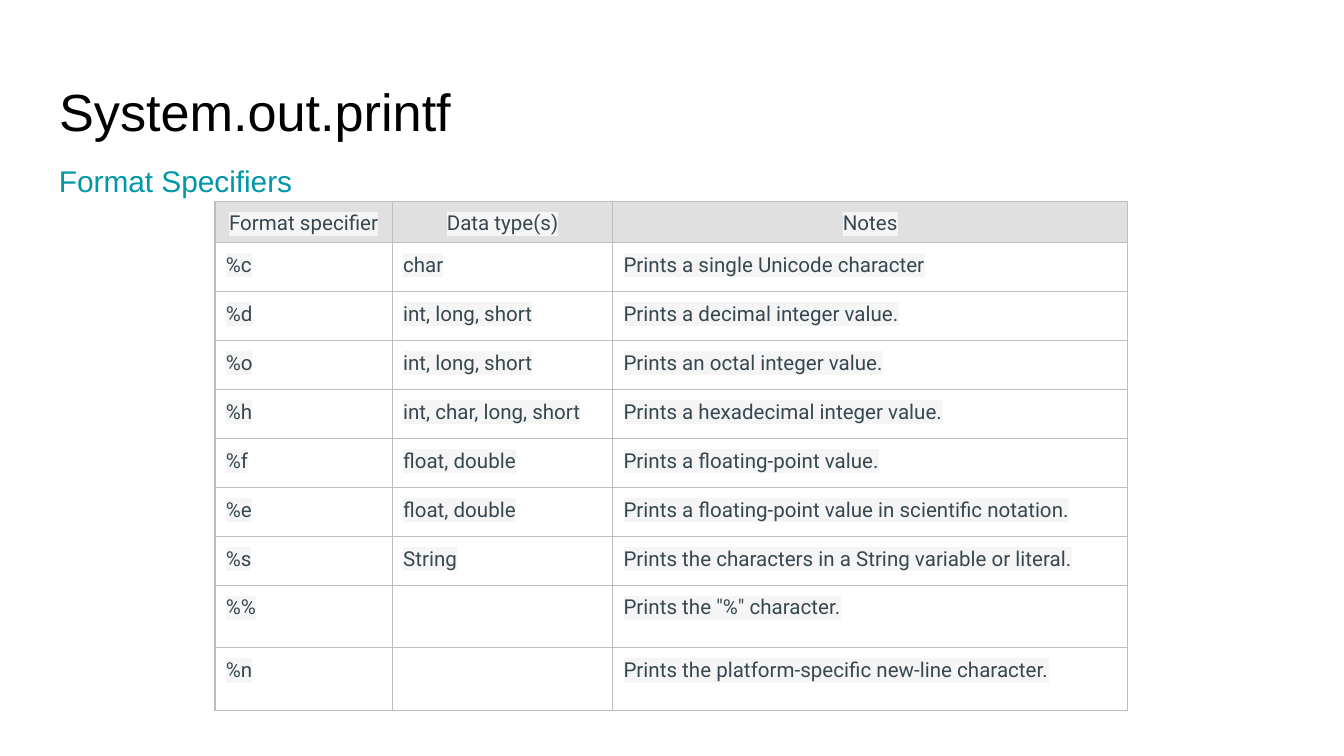
"""Build a slide listing the format specifiers of System.out.printf."""
import dataclasses

import lxml.etree
import pptx
import pptx.dml.color
import pptx.enum.text
import pptx.oxml.ns
import pptx.util

Inches = pptx.util.Inches
Pt = pptx.util.Pt
qn = pptx.oxml.ns.qn
PP_ALIGN = pptx.enum.text.PP_ALIGN
MSO_ANCHOR = pptx.enum.text.MSO_ANCHOR


@dataclasses.dataclass(frozen=True)
class Theme:
    heading_font: str = "Arial"
    table_font: str = "Roboto"
    title_size: int = 28
    subtitle_size: int = 16
    table_size: int = 11
    border_width: float = 0.75
    title: str = "000000"
    subtitle: str = "0097A7"
    table_text: str = "37474F"
    highlight: str = "F5F5F5"
    header_fill: str = "E0E0E0"
    body_fill: str = "F5F5F5"
    border: str = "BDBDBD"


THEME = Theme()
HEADER = ("Format specifier", "Data type(s)", "Notes")
SPECIFIERS = (
    ("%c", "char", "Prints a single Unicode character"),
    ("%d", "int, long, short", "Prints a decimal integer value."),
    ("%o", "int, long, short", "Prints an octal integer value."),
    ("%h", "int, char, long, short", "Prints a hexadecimal integer value."),
    ("%f", "float, double", "Prints a floating-point value."),
    ("%e", "float, double", "Prints a floating-point value in scientific notation."),
    ("%s", "String", "Prints the characters in a String variable or literal."),
    ("%%", "", 'Prints the "%" character.'),
    ("%n", "", "Prints the platform-specific new-line character."),
)
COLUMN_WIDTHS = (1.32, 1.64, 3.83)
ROW_HEIGHTS = (0.3,) + (2.55 / 7,) * 7 + (0.45,) * 2


def add_run(p, text, font, size, color):
    r = p.add_run()
    r.text = text
    r.font.name = font
    r.font.size = Pt(size)
    r.font.color.rgb = pptx.dml.color.RGBColor.from_string(color)
    return r


def add_color(parent, tag, color):
    holder = lxml.etree.SubElement(parent, qn(tag))
    lxml.etree.SubElement(holder, qn("a:srgbClr"), val=color)
    return holder


def highlight_run(r, color):
    rPr = r.font._element
    rPr.find(qn("a:solidFill")).addnext(add_color(rPr, "a:highlight", color))


def fill_background(cell, color, transparent):
    cell.fill.solid()
    cell.fill.fore_color.rgb = pptx.dml.color.RGBColor.from_string(color)
    if transparent:
        srgb = cell._tc.tcPr.find(qn("a:solidFill")).find(qn("a:srgbClr"))
        lxml.etree.SubElement(srgb, qn("a:alpha"), val="0")


def set_borders(cell):
    tcPr = cell._tc.get_or_add_tcPr()
    for i, side in enumerate(("a:lnL", "a:lnR", "a:lnT", "a:lnB")):
        ln = lxml.etree.Element(qn(side), w=str(Pt(THEME.border_width)))
        add_color(ln, "a:solidFill", THEME.border)
        tcPr.insert(i, ln)


def fill_heading(sp, top, height, text, size, color):
    sp.left, sp.top = Inches(0.34), Inches(top)
    sp.width, sp.height = Inches(9.32), Inches(height)
    tf = sp.text_frame
    tf.word_wrap = True
    tf.vertical_anchor = MSO_ANCHOR.TOP
    tf.margin_left = tf.margin_right = tf.margin_top = tf.margin_bottom = Inches(0.1)
    p = tf.paragraphs[0]
    p.alignment = PP_ALIGN.LEFT
    add_run(p, text, THEME.heading_font, size, color)


def fill_cell(cell, text, is_header):
    margin = Inches(0.05 if is_header else 0.08)
    cell.margin_left = cell.margin_right = margin
    cell.margin_top = cell.margin_bottom = margin
    p = cell.text_frame.paragraphs[0]
    if is_header:
        p.alignment = PP_ALIGN.CENTER
        p.line_spacing = 1.15
    fill_background(cell, THEME.header_fill if is_header else THEME.body_fill,
                    transparent=not is_header)
    set_borders(cell)
    if text:
        r = add_run(p, text, THEME.table_font, THEME.table_size, THEME.table_text)
        highlight_run(r, THEME.highlight)


def add_specifier_table(s):
    rows = (HEADER,) + SPECIFIERS
    frame = s.shapes.add_table(
        len(rows), len(HEADER), Inches(1.6), Inches(1.5),
        Inches(sum(COLUMN_WIDTHS)), Inches(sum(ROW_HEIGHTS)))
    table = frame.table
    table.horz_banding = False
    table.first_row = False
    for column, width in zip(table.columns, COLUMN_WIDTHS):
        column.width = Inches(width)
    for i, (row, height, texts) in enumerate(zip(table.rows, ROW_HEIGHTS, rows)):
        row.height = Inches(height)
        for cell, text in zip(row.cells, texts):
            fill_cell(cell, text, is_header=i == 0)


def main():
    prs = pptx.Presentation()
    prs.slide_width = Inches(10)
    prs.slide_height = prs.slide_width * 9 // 16
    s = prs.slides.add_slide(prs.slide_layouts[5])
    fill_heading(s.shapes.title, 0.49, 0.63, "System.out.printf",
                 THEME.title_size, THEME.title)
    add_specifier_table(s)
    subtitle = s.shapes.add_textbox(0, 0, 0, 0)
    fill_heading(subtitle, 1.11, 0.39, "Format Specifiers",
                 THEME.subtitle_size, THEME.subtitle)
    prs.save("out.pptx")


if __name__ == "__main__":
    main()
